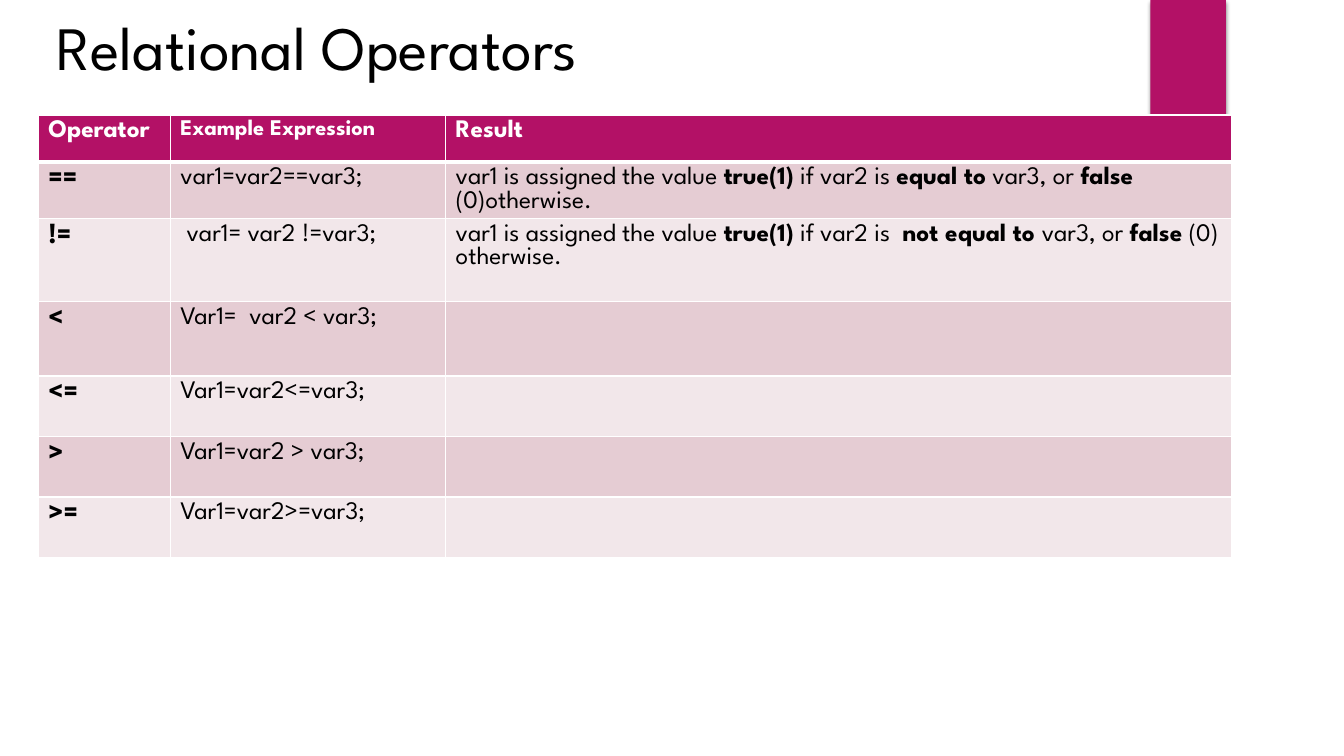
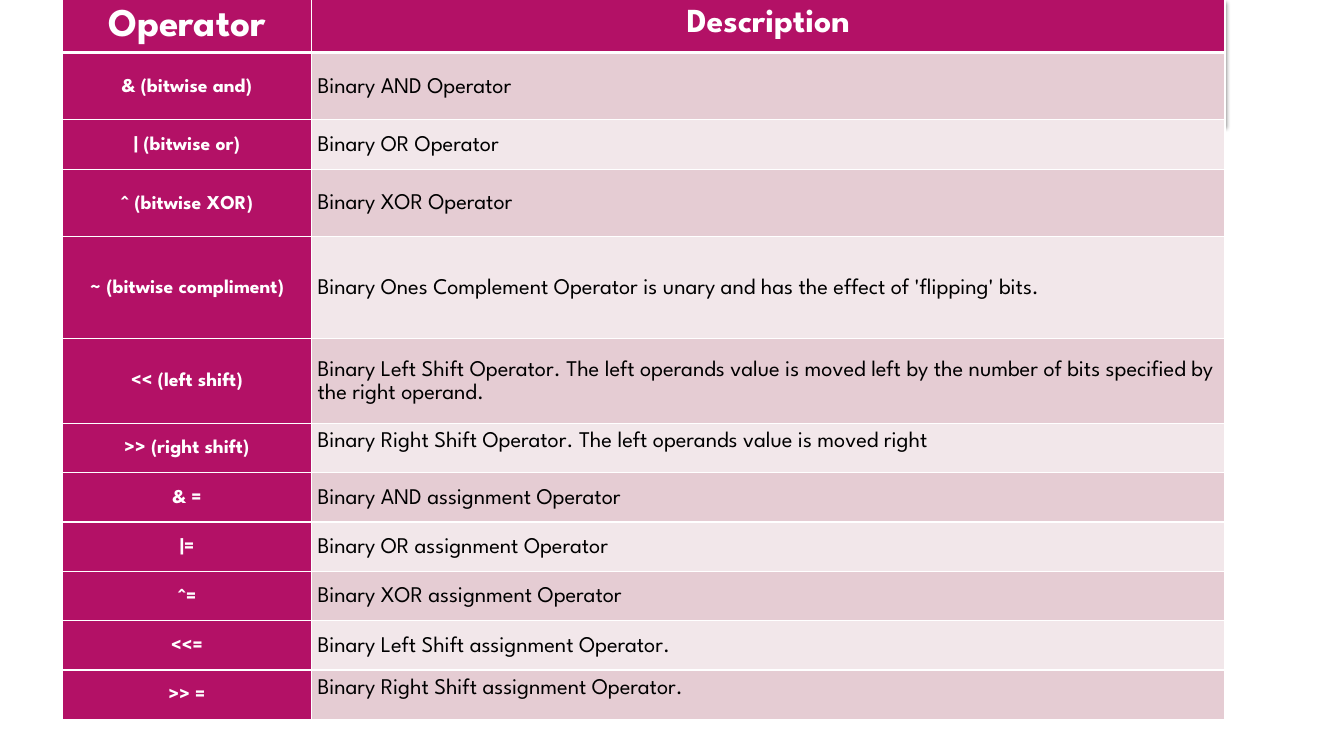
from lxml import etree
from pptx import Presentation
from pptx import util as u
from pptx.dml.color import RGBColor
from pptx.enum import shapes, text
from pptx.oxml.ns import qn

# Theme
THEME = dict(
    font="League Spartan", accent="B31166", light="FFFFFF", dark="000000",
    bands=("E5CCD3", "F2E7EA"), title=44, shadow_alpha=45000,
)
SLIDE_W, SLIDE_H = 13.33, 7.5
TOP, MIDDLE = text.MSO_ANCHOR.TOP, text.MSO_ANCHOR.MIDDLE
LEFT, CENTER = text.PP_ALIGN.LEFT, text.PP_ALIGN.CENTER

# Content: ** encloses bold words
RELATIONAL_TITLE = "Relational Operators"
RELATIONAL = [  # row height, operator, example, result
    (0.47, "Operator", "Example Expression", "Result"),
    (0.49, "==", "var1=var2==var3;",
     "var1 is assigned the value **true(1)** if var2 is **equal to** var3, or **false** (0)otherwise."),
    (0.82, "!=", " var1= var2 !=var3;",
     "var1 is assigned the value **true(1)** if var2 is  **not equal to **var3, or **false** (0) otherwise."),
    (0.74, "<", "Var1=  var2 < var3;", ""),
    (0.6, "<=", "Var1=var2<=var3;", ""),
    (0.6, ">", "Var1=var2 > var3;", ""),
    (0.6, ">=", "Var1=var2>=var3;", ""),
]
BITWISE = [  # row height, operator, description
    (0.54, "Operator", "Description"),
    (0.67, "& (bitwise and)", "Binary AND Operator"),
    (0.49, "| (bitwise or)", "Binary OR Operator"),
    (0.67, "^ (bitwise XOR)", "Binary XOR Operator"),
    (1.01, "~ (bitwise compliment)",
     "Binary Ones Complement Operator is unary and has the effect of 'flipping' bits."),
    (0.84, "<< (left shift)",
     "Binary Left Shift Operator. The left operands value is moved left by the number of bits "
     "specified by the right operand."),
    (0.49, ">> (right shift)", "Binary Right Shift Operator. The left operands value is moved right"),
    (0.49, "& =", "Binary AND assignment Operator"),
    (0.49, "|=", "Binary OR assignment Operator"),
    (0.49, "^=", "Binary XOR assignment Operator"),
    (0.49, "<<=", "Binary Left Shift assignment Operator."),
    (0.49, ">> =", "Binary Right Shift assignment Operator."),
]
TOP_ALIGNED_ROWS = (6, 11)  # descriptions that sit at the top of their cell


# Shared parts
def rgb(name):
    return RGBColor.from_string(THEME.get(name, name))


def add_ribbon(slide):
    ribbon = slide.shapes.add_shape(
        shapes.MSO_SHAPE.RECTANGLE, u.Inches(11.41), 0, u.Inches(0.75), u.Inches(1.25))
    ribbon.fill.solid()
    ribbon.fill.fore_color.rgb = rgb("accent")
    ribbon.line.fill.background()
    ribbon.shadow.inherit = False
    effects = ribbon._element.spPr.find(qn("a:effectLst"))
    shadow = etree.SubElement(effects, qn("a:outerShdw"), blurRad=str(u.Pt(3)),
                              dist=str(u.Pt(2)), dir="5400000", rotWithShape="0")
    shade = etree.SubElement(shadow, qn("a:srgbClr"), val=THEME["dark"])
    etree.SubElement(shade, qn("a:alpha"), val=str(THEME["shadow_alpha"]))


def add_title(slide, wording):
    title = slide.shapes.title
    title.left, title.top = u.Inches(0.46), 0
    title.width, title.height = u.Inches(11.5), u.Inches(1.01)
    frame = title.text_frame
    frame.text = wording
    frame.vertical_anchor = MIDDLE
    frame.auto_size = text.MSO_AUTO_SIZE.NONE
    heading = frame.paragraphs[0]
    heading.alignment, heading.line_spacing = LEFT, 0.9
    set_font(heading.font, THEME["title"], "dark")


def set_font(font, size, color, bold=False):
    font.name, font.size, font.bold = THEME["font"], u.Pt(size), bold
    font.color.rgb = rgb(color)


def set_borders(cell, row):
    weights = dict(L=1, R=1, T=3 if row == 1 else 1, B=3 if row == 0 else 1)
    for side, weight in weights.items():
        border = etree.SubElement(cell._tc.get_or_add_tcPr(), qn(f"a:ln{side}"), w=str(u.Pt(weight)))
        fill = etree.SubElement(border, qn("a:solidFill"))
        etree.SubElement(fill, qn("a:srgbClr"), val=THEME["light"])


def fill_cell(cell, wording, row, size, accent=False, bold=False,
              anchor=TOP, align=LEFT, inset=None, leading=None, after=None):
    set_borders(cell, row)
    cell.fill.solid()
    cell.fill.fore_color.rgb = rgb("accent" if accent else THEME["bands"][(row - 1) % 2])
    cell.vertical_anchor = anchor
    if inset:
        cell.margin_left = cell.margin_right = u.Inches(inset)
        cell.margin_top = cell.margin_bottom = u.Inches(inset)
    line = cell.text_frame.paragraphs[0]
    line.alignment, line.line_spacing = align, leading
    if after:
        line.space_after = u.Pt(after)
    set_font(line.font, size, "light" if accent else "dark", bold)
    for part, words in enumerate(wording.split("**")):
        if words:
            run = line.add_run()
            run.text = words
            if part % 2:
                run.font.bold = True


def add_grid(slide, left, top, widths, rows, style):
    heights = [row[0] for row in rows]
    grid = slide.shapes.add_table(
        len(rows), len(widths), u.Inches(left), u.Inches(top),
        u.Inches(sum(widths)), u.Inches(sum(heights))).table
    grid.first_row = grid.horz_banding = False
    for column, width in zip(grid.columns, widths):
        column.width = u.Inches(width)
    for r, (height, *wordings) in enumerate(rows):
        grid.rows[r].height = u.Inches(height)
        for c, wording in enumerate(wordings):
            fill_cell(grid.cell(r, c), wording, r, **style(r, c))


# Cell styles by row and column
def relational_style(row, column):
    if row == 0:
        return dict(size=(18, 16, 18)[column], accent=True, bold=True)
    return dict(size=20 if column == 0 else 18, bold=column == 0)


def bitwise_style(row, column):
    spacing = dict(inset=0.06, leading=1.15, after=15)
    if row == 0:
        return dict(size=(28, 24)[column], accent=True, bold=True, align=CENTER, **spacing)
    if column == 0:
        return dict(size=14, accent=True, bold=True, anchor=MIDDLE, align=CENTER, **spacing)
    return dict(size=16, anchor=TOP if row in TOP_ALIGNED_ROWS else MIDDLE, **spacing)


def main():
    deck = Presentation()
    deck.slide_width, deck.slide_height = u.Inches(SLIDE_W), u.Inches(SLIDE_H)
    title_only, blank = deck.slide_layouts[5], deck.slide_layouts[6]

    # Relational operators
    relational = deck.slides.add_slide(title_only)
    add_ribbon(relational)
    add_title(relational, RELATIONAL_TITLE)
    add_grid(relational, 0.38, 1.14, (1.31, 2.73, 7.8), RELATIONAL, relational_style)

    # Bitwise operators
    bitwise = deck.slides.add_slide(blank)
    add_ribbon(bitwise)
    add_grid(bitwise, 0.62, -0.02, (2.47, 9.06), BITWISE, bitwise_style)

    deck.save("out.pptx")


if __name__ == "__main__":
    main()
